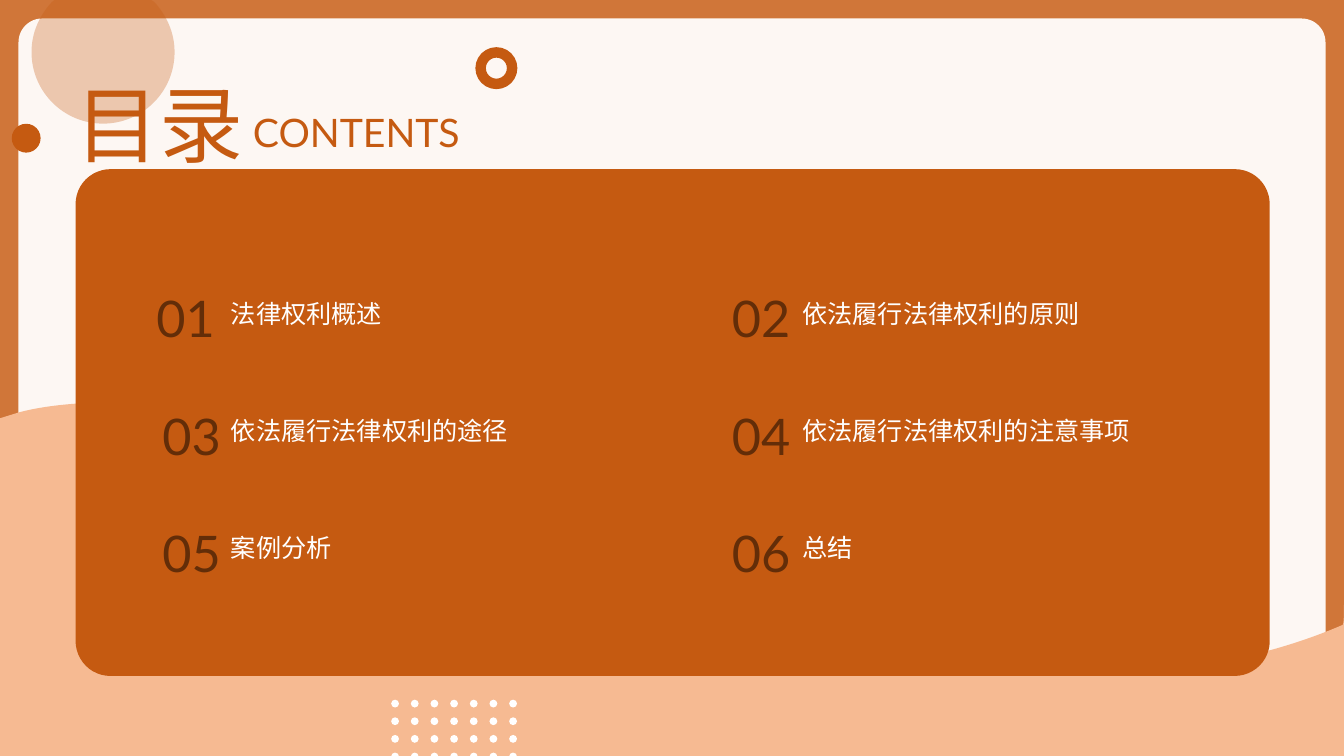
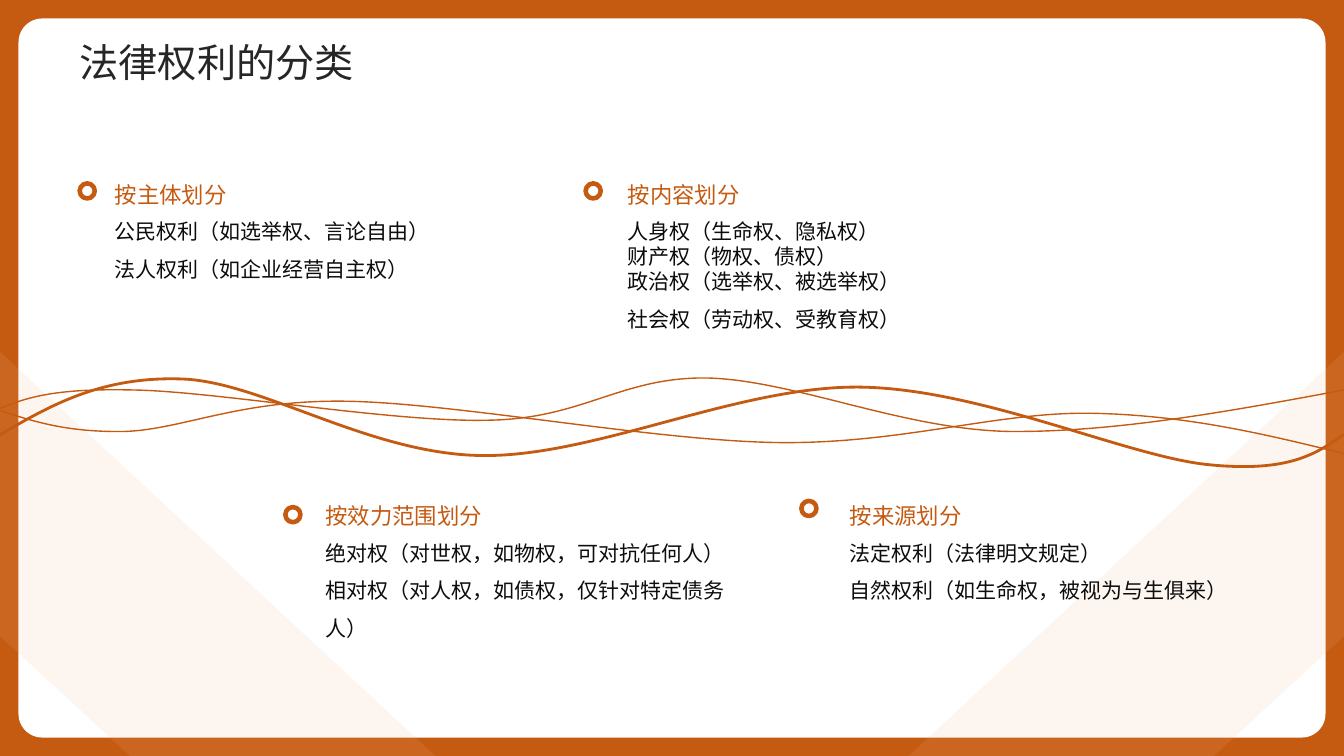
from pptx import Presentation
from pptx.dml.color import RGBColor
from pptx.enum.shapes import MSO_SHAPE as Preset
from pptx.enum.text import MSO_ANCHOR as Anchor, PP_ALIGN as Align
from pptx.oxml.ns import qn
from pptx.oxml.xmlchemy import OxmlElement
from pptx.util import Pt

ORANGE = RGBColor(0xC5, 0x5A, 0x11)
PEACH = RGBColor(0xF6, 0xBA, 0x92)
CREAM = RGBColor(0xFA, 0xDD, 0xC9)
BROWN = RGBColor(0x63, 0x2D, 0x08)
WHITE = RGBColor(0xFF, 0xFF, 0xFF)
INK = RGBColor(0x0D, 0x0D, 0x0D)
CHARCOAL = RGBColor(0x26, 0x26, 0x26)

LATIN_FONT = "Lato"
CHINESE_FONT = "Noto Sans CJK SC"
WIDTH, HEIGHT = 960, 540
UNITS_PER_POINT = 100
ROUNDNESS = 0.55

HILL = [
    (85, 287.3),
    [(57.6, 287.3), (33.1, 289.4), (13.7, 294.5)],
    (0, 298.8), (0, HEIGHT), (WIDTH, HEIGHT), (WIDTH, 432),
    [(WIDTH, 435.6), (WIDTH, 446.4), (959, 446.4)],
    [(915.8, 465.1), (824.4, 493.9), (709.2, 472.3)],
    [(593.3, 450), (391, 351.4), (266.4, 314.6)],
    [(204.5, 296.6), (139, 287.3), (85, 287.3)],
]
CUT_CIRCLE = [
    (38.9, 0), (108, 0), (110.2, 1.4),
    [(118.8, 10.8), (124.7, 23), (124.7, 37.2)],
    [(124.7, 65.4), (101.8, 88.3), (73.6, 88.3)],
    [(45.4, 88.3), (22.5, 65.4), (22.5, 37.2)],
    [(22.5, 23), (28.4, 10.8), (37.1, 1.4)],
]
WAVES = [
    (2, [
        (-0.7, 311),
        [(36, 289.4), (72.7, 268.6), (130.3, 270.7)],
        [(187.9, 272.9), (264.2, 324.7), (344.9, 325.4)],
        [(425.5, 326.2), (527, 275.8), (613.4, 276.5)],
        [(699.8, 277.2), (805, 326.2), (863.3, 331.9)],
        [(920.9, 337.7), (940.3, 324), (960, 310.3)],
    ]),
    (1, [
        (-0.7, 293),
        [(23.8, 301), (47.5, 308.9), (89.3, 308.2)],
        [(131, 306.7), (171.4, 285.1), (248.4, 286.6)],
        [(326.2, 288), (465.8, 314.6), (554.4, 316.1)],
        [(643.7, 317.5), (712.8, 293.8), (780.5, 295.2)],
        [(848.2, 296.6), (904.3, 310.3), (960, 324)],
    ]),
    (1, [
        (0, 291.6),
        [(18.7, 284.4), (37.4, 277.2), (95, 278.6)],
        [(153.4, 279.4), (279.4, 301.7), (347.8, 300.2)],
        [(416.2, 299.5), (442.8, 269.3), (504.7, 270)],
        [(566.6, 271.4), (644.4, 306.7), (720.7, 308.2)],
        [(796.3, 308.9), (878.4, 293.8), (960, 278.6)],
    ]),
]
CONTENTS = [
    "法律权利概述", "依法履行法律权利的原则",
    "依法履行法律权利的途径", "依法履行法律权利的注意事项",
    "案例分析", "总结",
]
CATEGORIES = [
    (82, 100.1, 56.9, 131, "按主体划分",
     ["公民权利（如选举权、言论自由）", "法人权利（如企业经营自主权）"]),
    (448.4, 100.1, 418.3, 131, "按内容划分",
     ["人身权（生命权、隐私权）", "财产权（物权、债权）",
      "政治权（选举权、被选举权）", "社会权（劳动权、受教育权）"]),
    (232.6, 329.8, 203.8, 362.2, "按效力范围划分",
     ["绝对权（对世权，如物权，可对抗任何人）",
      "相对权（对人权，如债权，仅针对特定债务人）"]),
    (607, 329.8, 572.4, 357.8, "按来源划分",
     ["法定权利（法律明文规定）", "自然权利（如生命权，被视为与生俱来）"]),
]


def paint(shape, color=None, opacity=100, line=None, line_width=1):
    shape.shadow.inherit = False
    if color is None:
        shape.fill.background()
    else:
        shape.fill.solid()
        shape.fill.fore_color.rgb = color
        if opacity < 100:
            alpha = OxmlElement("a:alpha")
            alpha.set("val", str(opacity * 1000))
            shape.fill._xPr.find(qn("a:solidFill"))[0].append(alpha)
    if line is None:
        shape.line.fill.background()
    else:
        shape.line.color.rgb = line
        shape.line.width = Pt(line_width)


def add_preset(slide, preset, left, top, width, height, color,
               adjustment=None, **style):
    shape = slide.shapes.add_shape(
        preset, Pt(left), Pt(top), Pt(width), Pt(height))
    if adjustment is not None:
        shape.adjustments[0] = adjustment
    paint(shape, color, **style)


def to_units(point):
    return tuple(round(value * UNITS_PER_POINT) for value in point)


def segment_end(segment):
    return to_units(segment[-1] if isinstance(segment, list) else segment)


def bend(line, controls, left, top):
    line.tag = qn("a:cubicBezTo")
    line.clear()
    for x, y in map(to_units, controls):
        point = OxmlElement("a:pt")
        point.set("x", str(x - left))
        point.set("y", str(y - top))
        line.append(point)


def add_outline(slide, contours, color=None, closed=True, **style):
    anchors = [[segment_end(segment) for segment in contour]
               for contour in contours]
    builder = slide.shapes.build_freeform(
        *anchors[0][0], scale=Pt(1) / UNITS_PER_POINT)
    for index, (start, *ends) in enumerate(anchors):
        if index:
            builder.move_to(*start)
        builder.add_line_segments(ends, close=closed)
    shape = builder.convert_to_shape()
    left = min(x for contour in anchors for x, y in contour)
    top = min(y for contour in anchors for x, y in contour)
    segments = [segment for contour in contours for segment in contour[1:]]
    lines = list(shape._element.iter(qn("a:lnTo")))
    for line, segment in zip(lines, segments):
        if isinstance(segment, list):
            bend(line, segment, left, top)
    paint(shape, color, **style)


def dot_outline(x, y, radius):
    pull = radius * ROUNDNESS
    upper = [
        (x - radius, y),
        [(x - radius, y - pull), (x - pull, y - radius), (x, y - radius)],
        [(x + pull, y - radius), (x + radius, y - pull), (x + radius, y)],
    ]
    if y + radius > HEIGHT:
        return upper
    return upper + [
        [(x + radius, y + pull), (x + pull, y + radius), (x, y + radius)],
        [(x - pull, y + radius), (x - radius, y + pull), (x - radius, y)],
    ]


def add_text(slide, lines, left, top, width, height, size, color,
             font=LATIN_FONT, spacing=1.1, anchor=Anchor.MIDDLE,
             align=Align.LEFT):
    box = slide.shapes.add_textbox(Pt(left), Pt(top), Pt(width), Pt(height))
    frame = box.text_frame
    frame.word_wrap = True
    frame.vertical_anchor = anchor
    frame.margin_left = frame.margin_right = Pt(0)
    frame.margin_top = frame.margin_bottom = Pt(0)
    frame.text = "\n".join(lines)
    for paragraph in frame.paragraphs:
        paragraph.alignment = align
        paragraph.line_spacing = 1.0
        paragraph.font.size = Pt(size)
        paragraph.font.color.rgb = color
        paragraph.font.name = font
        east_asian = OxmlElement("a:ea")
        east_asian.set("typeface", LATIN_FONT)
        paragraph._p.pPr.find(qn("a:defRPr")).append(east_asian)
    frame.paragraphs[-1].line_spacing = spacing


def add_framed_slide(presentation):
    slide = presentation.slides.add_slide(presentation.slide_layouts[6])
    add_preset(slide, Preset.RECTANGLE, 0, 0, WIDTH, HEIGHT, ORANGE)
    add_preset(slide, Preset.ROUNDED_RECTANGLE, 13.2, 13.2, 933.6, 513.6,
               WHITE, adjustment=0.033)
    return slide


def add_contents_entry(slide, index, label):
    row, column = divmod(index, 2)
    top = 198.1 + 83.9 * row
    number_right = 153.4 if index == 0 else (157.7, 564.5)[column]
    add_text(slide, [f"{index + 1:02}"], number_right - 73.4, top, 73.4, 53.3,
             36, BROWN, align=Align.RIGHT)
    add_text(slide, [label], (164.9, 573.1)[column], top - 12, 275.8, 72.7,
             18, WHITE)


def build_contents(presentation):
    slide = add_framed_slide(presentation)
    add_preset(slide, Preset.RECTANGLE, 0, 0, WIDTH, HEIGHT, CREAM, opacity=22)
    add_outline(slide, [HILL], PEACH)
    dots = [dot_outline(282.2 + 14.05 * column, 502.6 + 12.6 * row, 2.8)
            for row in range(4) for column in range(7)]
    add_outline(slide, dots, WHITE)
    add_outline(slide, [CUT_CIRCLE], ORANGE, opacity=30)
    add_preset(slide, Preset.OVAL, 8.4, 88.4, 20.6, 20.6, ORANGE)
    add_preset(slide, Preset.DONUT, 339.6, 33.7, 30, 30, ORANGE,
               adjustment=0.25)
    add_text(slide, ["目录"], 54, 47.8, 172.8, 72.7, 60, ORANGE)
    add_text(slide, ["CONTENTS"], 180.7, 75.6, 223.9, 33.8, 28, ORANGE)
    add_preset(slide, Preset.ROUNDED_RECTANGLE, 54, 120.8, 853, 362, ORANGE,
               adjustment=0.069)
    for index, label in enumerate(CONTENTS):
        add_contents_entry(slide, index, label)


def add_category(slide, left, top, ring_left, ring_top, heading, lines):
    add_preset(slide, Preset.OVAL, ring_left, ring_top, 10.8, 10.8, WHITE,
               line=ORANGE, line_width=3.25)
    add_text(slide, [heading], left, top, 301, 48.2, 16, ORANGE,
             CHINESE_FONT, 1.3, Anchor.BOTTOM)
    add_text(slide, lines, left, top + 56, 301, 100.8, 15, INK,
             CHINESE_FONT, 1.5, Anchor.TOP)


def build_categories(presentation):
    slide = add_framed_slide(presentation)
    corner = [(0, 251.3), (311, HEIGHT), (92.9, HEIGHT), (0, 454.3)]
    mirrored = [(WIDTH - x, y) for x, y in corner]
    add_outline(slide, [corner, mirrored], PEACH, opacity=13)
    for line_width, wave in WAVES:
        add_outline(slide, [wave], closed=False, line=ORANGE,
                    line_width=line_width)
    for category in CATEGORIES:
        add_category(slide, *category)
    add_text(slide, ["法律权利的分类"], 56.9, 17.3, 817.2, 42.5, 28, CHARCOAL,
             CHINESE_FONT, 1.3, Anchor.TOP)


def main():
    presentation = Presentation()
    presentation.slide_width = Pt(WIDTH)
    presentation.slide_height = Pt(HEIGHT)
    build_contents(presentation)
    build_categories(presentation)
    presentation.save("out.pptx")


if __name__ == "__main__":
    main()
